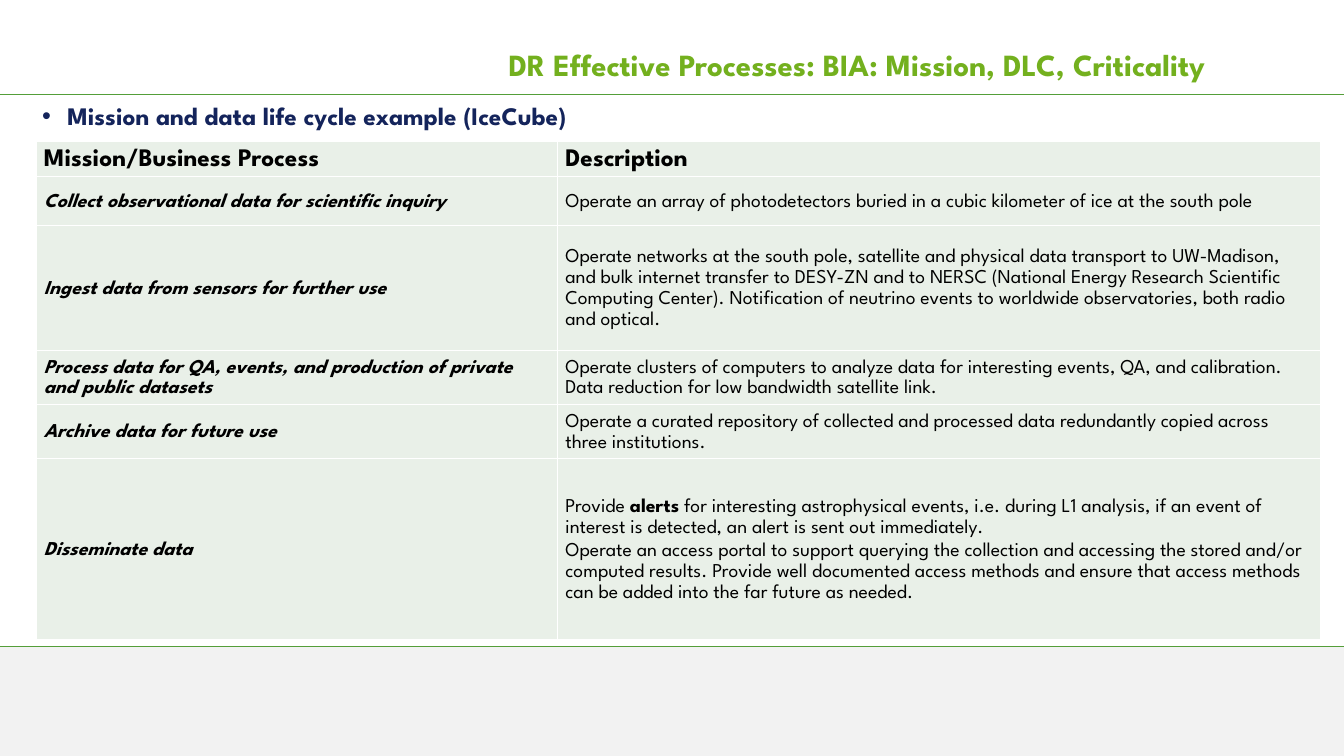
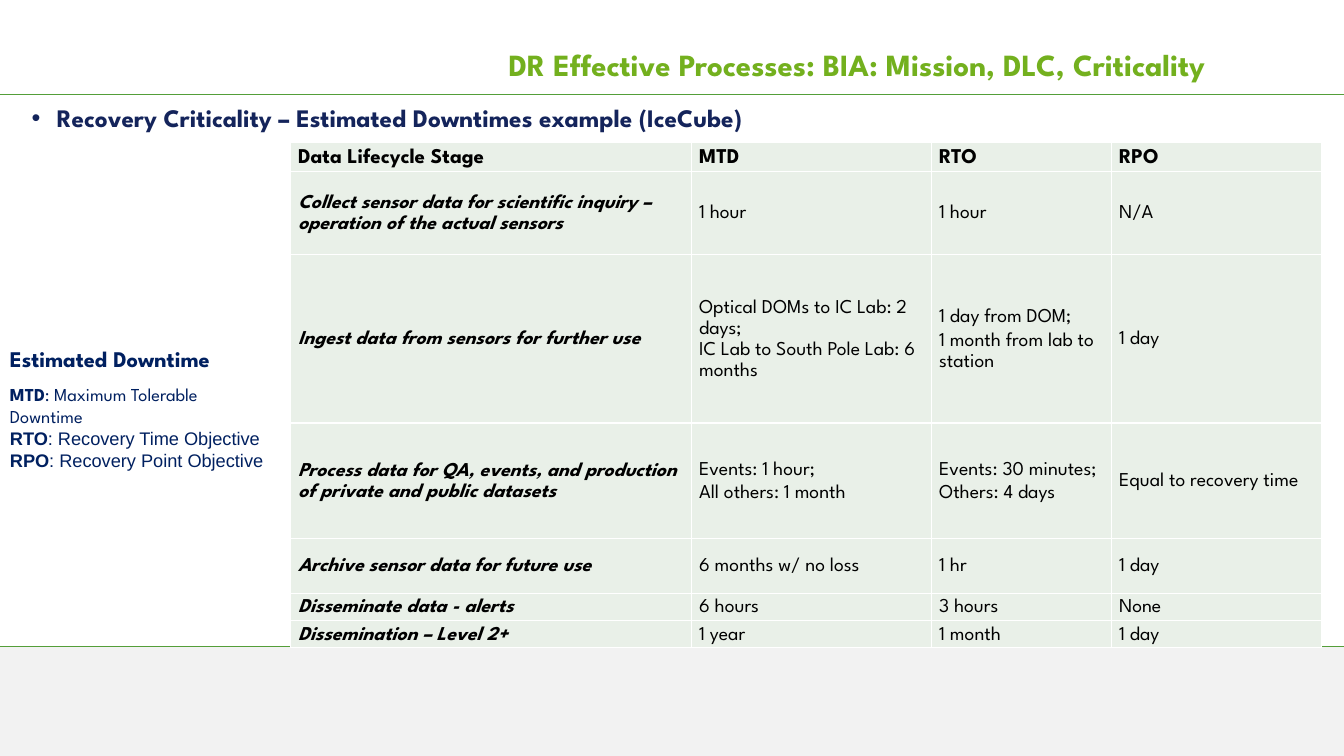
from dataclasses import dataclass
from typing import NamedTuple

from lxml.etree import SubElement
from pptx import Presentation
from pptx.dml.color import RGBColor as Rgb
from pptx.enum.shapes import MSO_CONNECTOR as Connector, MSO_SHAPE as Preset
from pptx.enum.text import MSO_ANCHOR as Anchor, PP_ALIGN as Align
from pptx.oxml.ns import qn
from pptx.util import Pt


@dataclass(frozen=True)
class Theme:
    """Colours, fonts and type sizes of the deck."""
    display: str = "League Spartan"
    plain: str = "Arial"
    title_green: str = "73B01E"
    rule_green: str = "549E39"
    heading_navy: str = "14245B"
    legend_navy: str = "002060"
    ink: str = "000000"
    cell_tint: str = "E9F0E8"
    border: str = "FFFFFF"
    footer_grey: str = "F2F2F2"
    title_size: float = 22
    heading_size: float = 18
    legend_title_size: float = 16
    legend_size: float = 13
    cell_size: float = 14


class Box(NamedTuple):
    """A region of a slide in points."""
    left: float
    top: float
    width: float
    height: float

    def lengths(self):
        """Return the four measures as lengths."""
        return [Pt(measure) for measure in self]


THEME = Theme()
SLIDE = Box(0, 0, 960, 540)
TITLE_BOX = Box(231, 10, 637, 75.5)
HEADER_RULE_TOP = 67.5
FOOTER_TOP = 462
TITLE = "DR Effective Processes: BIA: Mission, DLC, Criticality"

MISSION_ROWS = [
    ["Mission/Business Process", "Description"],
    ["Collect observational data for scientific inquiry",
     "Operate an array of photodetectors buried in a cubic kilometer of ice at the south pole"],
    ["Ingest data from sensors for further use",
     "Operate networks at the south pole, satellite and physical data transport to UW-Madison, "
     "and bulk internet transfer to DESY-ZN and to NERSC (National Energy Research Scientific "
     "Computing Center). Notification of neutrino events to worldwide observatories, both radio "
     "and optical."],
    ["Process data for QA, events, and production of private and public datasets",
     "Operate clusters of computers to analyze data for interesting events, QA, and calibration. "
     "Data reduction for low bandwidth satellite link."],
    ["Archive data for future use",
     "Operate a curated repository of collected and processed data redundantly copied across "
     "three institutions."],
    ["Disseminate data",
     "Provide *alerts* for interesting astrophysical events, i.e. during L1 analysis, if an event "
     "of interest is detected, an alert is sent out immediately.\n"
     "Operate an access portal to support querying the collection and accessing the stored and/or "
     "computed results. Provide well documented access methods and ensure that access methods "
     "can be added into the far future as needed."],
]

DOWNTIME_ROWS = [
    ["Data Lifecycle Stage", "MTD", "RTO", "RPO"],
    ["Collect sensor data for scientific inquiry – operation of the actual sensors",
     "1 hour", "1 hour", "N/A"],
    ["Ingest data from sensors for further use",
     "Optical DOMs to IC Lab: 2 days;\vIC Lab to South Pole Lab: 6 months",
     "1 day from DOM;\n1 month from lab to station", "1 day"],
    ["Process data for QA, events, and production of private and public datasets",
     "Events: 1 hour;\nAll others: 1 month", "Events: 30 minutes;\nOthers: 4 days",
     "Equal to recovery time"],
    ["Archive sensor data for future use", "6 months w/ no loss", "1 hr", "1 day"],
    ["Disseminate data - alerts", "6 hours", "3 hours", "None"],
    ["Dissemination – Level 2+", "1 year", "1 month", "1 day"],
]

LEGEND = [
    ("*MTD*: Maximum Tolerable", THEME.display),
    ("Downtime", THEME.display),
    ("*RTO*: Recovery Time Objective", THEME.plain),
    ("*RPO*: Recovery Point Objective", THEME.plain),
]


def write(paragraph, text, size, color, font=THEME.display, bold=False, italic=False):
    """Fill a paragraph, setting the parts between asterisks in bold."""
    lead, *pieces = text.split("*")
    paragraph.text = lead
    styled = [(run, bold) for run in paragraph.runs]
    for position, piece in enumerate(pieces):
        run = paragraph.add_run()
        run.text = piece
        styled.append((run, bold or position % 2 == 0))
    for run, strong in styled:
        run.font.name = font
        run.font.size = Pt(size)
        run.font.color.rgb = Rgb.from_string(color)
        run.font.bold = strong
        run.font.italic = italic


def add_frame(slide, box, anchor=Anchor.TOP):
    """Add a wrapping text box and return its text frame."""
    frame = slide.shapes.add_textbox(*box.lengths()).text_frame
    frame.word_wrap = True
    frame.vertical_anchor = anchor
    return frame


def add_rule(slide, top):
    """Draw a thin green line across the slide."""
    rule = slide.shapes.add_connector(
        Connector.STRAIGHT, Pt(0), Pt(top), Pt(SLIDE.width), Pt(top))
    rule.line.color.rgb = Rgb.from_string(THEME.rule_green)
    rule.line.width = Pt(1)
    SubElement(rule._element.spPr, qn("a:effectLst"))


def add_footer(slide, box):
    """Draw the grey footer band with its rule on top."""
    band = slide.shapes.add_shape(Preset.RECTANGLE, *box.lengths())
    band.shadow.inherit = False
    band.fill.solid()
    band.fill.fore_color.rgb = Rgb.from_string(THEME.footer_grey)
    band.line.fill.background()
    add_rule(slide, box.top)


def add_title(slide, box):
    """Write the right-aligned title."""
    title = add_frame(slide, box, Anchor.MIDDLE).paragraphs[0]
    title.alignment = Align.RIGHT
    title.line_spacing = 0.9
    write(title, TITLE, THEME.title_size, THEME.title_green, bold=True)


def add_heading(slide, box, text):
    """Write the bulleted heading above a table."""
    heading = add_frame(slide, box, Anchor.MIDDLE).paragraphs[0]
    properties = heading._p.get_or_add_pPr()
    properties.set("marL", str(Pt(18)))
    properties.set("indent", str(-Pt(18)))
    SubElement(properties, qn("a:buFont"), typeface=THEME.plain)
    SubElement(properties, qn("a:buChar"), char="•")
    write(heading, text, THEME.heading_size, THEME.heading_navy, bold=True)


def style_cell(cell):
    """Give a cell its margins, white borders and tint."""
    cell.vertical_anchor = Anchor.MIDDLE
    cell.margin_left, cell.margin_right = Pt(5.4), Pt(5)
    cell.margin_top = cell.margin_bottom = Pt(0)
    properties = cell._tc.get_or_add_tcPr()
    for side in ("lnL", "lnR", "lnT", "lnB"):
        border = SubElement(properties, qn(f"a:{side}"), w=str(Pt(1)))
        solid = SubElement(border, qn("a:solidFill"))
        SubElement(solid, qn("a:srgbClr"), val=THEME.border)
    cell.fill.solid()
    cell.fill.fore_color.rgb = Rgb.from_string(THEME.cell_tint)


def add_grid(slide, left, top, widths, heights, rows, header_size):
    """Add a table with a bold header row and a bold italic first column."""
    box = Box(left, top, sum(widths), sum(heights))
    table = slide.shapes.add_table(len(rows), len(widths), *box.lengths()).table
    table.first_row = table.horz_banding = False
    for column, width in zip(table.columns, widths):
        column.width = Pt(width)
    for row_index, (entries, height) in enumerate(zip(rows, heights)):
        table.rows[row_index].height = Pt(height)
        is_header = row_index == 0
        for column_index, entry in enumerate(entries):
            cell = table.cell(row_index, column_index)
            style_cell(cell)
            is_stage = column_index == 0 and not is_header
            for line_index, line in enumerate(entry.split("\n")):
                frame = cell.text_frame
                paragraph = frame.add_paragraph() if line_index else frame.paragraphs[0]
                paragraph.line_spacing = 1.15
                if line_index:
                    paragraph.space_before = Pt(2)
                write(paragraph, line, header_size if is_header else THEME.cell_size,
                      THEME.ink, bold=is_header or is_stage, italic=is_stage)


def add_legend(slide, box):
    """Explain the downtime abbreviations beside the table."""
    caption_height = 27
    caption = add_frame(slide, box._replace(height=caption_height)).paragraphs[0]
    write(caption, "Estimated Downtime", THEME.legend_title_size, THEME.legend_navy, bold=True)
    terms = add_frame(slide, box._replace(top=box.top + caption_height,
                                          height=box.height - caption_height))
    terms.margin_right = Pt(0)
    for index, (term, font) in enumerate(LEGEND):
        paragraph = terms.add_paragraph() if index else terms.paragraphs[0]
        paragraph.line_spacing = Pt(15.8)
        write(paragraph, term, THEME.legend_size, THEME.legend_navy, font)


def add_base(deck):
    """Add a slide with the shared title, rules and footer."""
    slide = deck.slides.add_slide(deck.slide_layouts[6])
    add_footer(slide, Box(0, FOOTER_TOP, SLIDE.width, SLIDE.height - FOOTER_TOP))
    add_rule(slide, HEADER_RULE_TOP)
    add_title(slide, TITLE_BOX)
    return slide


def add_mission_slide(deck):
    """Build the mission and data life cycle slide."""
    slide = add_base(deck)
    add_heading(slide, Box(23, 66, 883, 33), "Mission and data life cycle example (IceCube)")
    add_grid(slide, 26, 101, [372.5, 545], [21.5, 35.5, 89, 38, 37.5, 129.5],
             MISSION_ROWS, header_size=18)


def add_downtime_slide(deck):
    """Build the recovery criticality slide."""
    slide = add_base(deck)
    add_heading(slide, Box(15.5, 67.5, 883, 33),
                "Recovery Criticality – Estimated Downtimes example (IceCube)")
    add_legend(slide, Box(0, 243, 204, 97.5))
    add_grid(slide, 207.5, 101.5, [286.5, 171.5, 128.5, 150],
             [20.5, 59.5, 120.5, 82.5, 39, 19.5, 19.5], DOWNTIME_ROWS, header_size=15)


def main():
    """Build and save the deck."""
    deck = Presentation()
    deck.slide_width, deck.slide_height = Pt(SLIDE.width), Pt(SLIDE.height)
    add_mission_slide(deck)
    add_downtime_slide(deck)
    deck.save("out.pptx")


if __name__ == "__main__":
    main()
